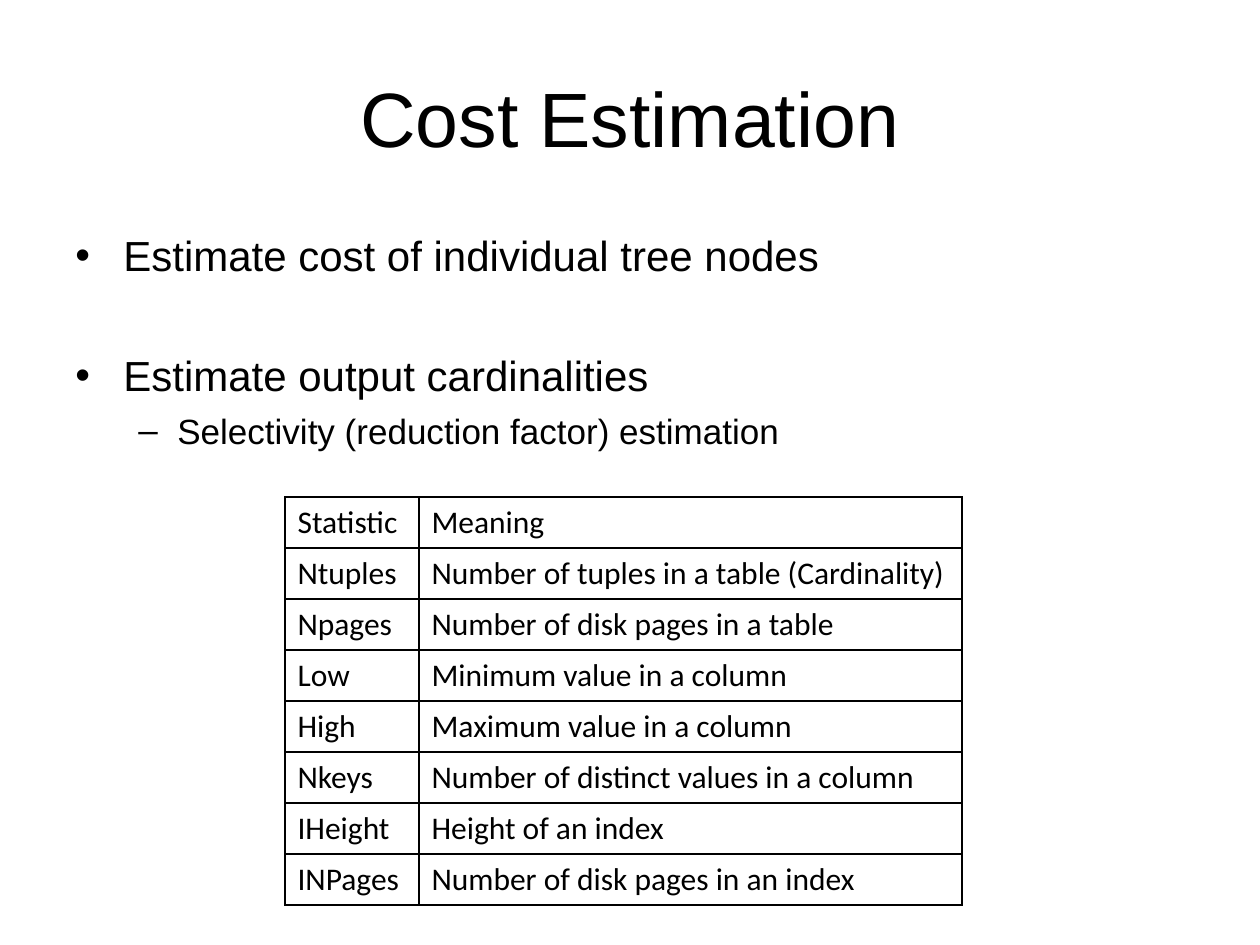
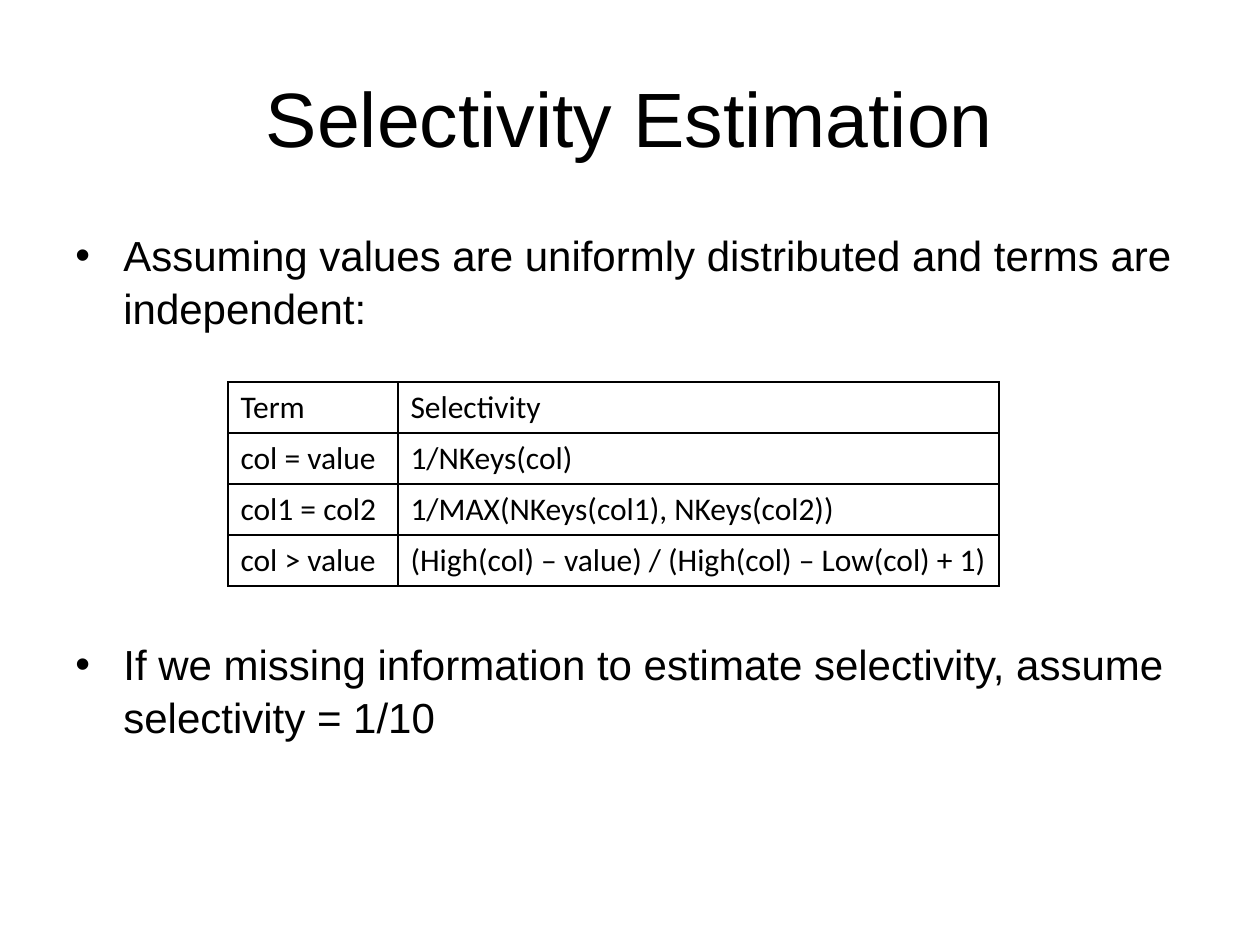
from lxml.etree import SubElement
from pptx import Presentation
from pptx.dml.color import RGBColor as Color
from pptx.enum.text import MSO_ANCHOR as Anchor, PP_ALIGN as Align
from pptx.oxml.ns import qn
from pptx.util import Emu, Pt

COLORS = {"ink": "000000", "paper": "FFFFFF"}
FONTS = {"text": "Arial", "table": "Calibri"}
LEVELS = [("•", 24, 48, 48), ("–", 20, 102, 39)]
BLANK_LINE = 33.7
ROW_HEIGHT = 51


def px(length):
    """Turn px at 126 to the inch into EMU."""
    return Emu(round(length * 914400 / 126))


class Slides:
    """Hold the shared style and the slide being built."""

    def __init__(self):
        """Open an empty deck of 10 by 7.5 inches."""
        self.deck = Presentation()
        self.deck.slide_width, self.deck.slide_height = px(1260), px(945)
        self.page = None

    def start(self, title):
        """Add a blank slide with its centred title."""
        self.page = self.deck.slides.add_slide(self.deck.slide_layouts[6])
        self.page.background.fill.solid()
        self.page.background.fill.fore_color.rgb = Color.from_string(COLORS["paper"])
        frame = self.frame(63, 38, 1134, 158)
        frame.vertical_anchor = Anchor.MIDDLE
        para = frame.paragraphs[0]
        para.alignment = Align.CENTER
        self.set_text(para, title, 44, FONTS["text"])

    def frame(self, left, top, width, height):
        """Add a wrapping text box and return its text frame."""
        box = self.page.shapes.add_textbox(px(left), px(top), px(width), px(height))
        box.text_frame.word_wrap = True
        return box.text_frame

    def set_text(self, para, text, size, font):
        """Fill a paragraph with text in one font."""
        para.text = text
        para.font.size = Pt(size)
        para.font.name = font
        para.font.color.rgb = Color.from_string(COLORS["ink"])

    def bullets(self, items):
        """Add the body from (level, blank lines above, text) items."""
        frame = self.frame(63, 221, 1134, 699)
        for index, (level, blanks, text) in enumerate(items):
            para = frame.add_paragraph() if index else frame.paragraphs[0]
            mark, size, margin, hang = LEVELS[level]
            self.set_text(para, text, size, FONTS["text"])
            para.line_spacing = 1.05
            para.space_before = Pt(size * 0.2 + blanks * BLANK_LINE)
            props = para._p.get_or_add_pPr()
            props.set("marL", str(px(margin)))
            props.set("indent", str(-px(hang)))
            SubElement(props, qn("a:buFont"), typeface=FONTS["text"])
            SubElement(props, qn("a:buChar"), char=mark)
            props.append(props.find(qn("a:defRPr")))

    def table(self, left, top, widths, rows):
        """Add a plain ruled table."""
        grid = self.page.shapes.add_table(
            len(rows), len(widths), px(left), px(top),
            px(sum(widths)), px(ROW_HEIGHT * len(rows))).table
        grid.first_row = grid.horz_banding = False
        for column, width in zip(grid.columns, widths):
            column.width = px(width)
        for line, texts in zip(grid.rows, rows):
            line.height = px(ROW_HEIGHT)
            for cell, text in zip(line.cells, texts):
                self.set_text(cell.text_frame.paragraphs[0], text, 18, FONTS["table"])
                self.rule(cell)
                cell.fill.background()

    def rule(self, cell):
        """Draw the four borders of a cell."""
        props = cell._tc.get_or_add_tcPr()
        for side in ("lnL", "lnR", "lnT", "lnB"):
            border = SubElement(props, qn(f"a:{side}"), w=str(Pt(1)))
            fill = SubElement(border, qn("a:solidFill"))
            SubElement(fill, qn("a:srgbClr"), val=COLORS["ink"])


def main():
    """Build both slides."""
    slides = Slides()

    slides.start("Cost Estimation")
    slides.bullets([
        (0, 0, "Estimate cost of individual tree nodes"),
        (0, 1, "Estimate output cardinalities"),
        (1, 0, "Selectivity (reduction factor) estimation"),
    ])
    slides.table(285, 497, [134, 543], [
        ("Statistic", "Meaning"),
        ("Ntuples", "Number of tuples in a table (Cardinality)"),
        ("Npages", "Number of disk pages in a table"),
        ("Low", "Minimum value in a column"),
        ("High", "Maximum value in a column"),
        ("Nkeys", "Number of distinct values in a column"),
        ("IHeight", "Height of an index"),
        ("INPages", "Number of disk pages in an index"),
    ])

    slides.start("Selectivity Estimation")
    slides.bullets([
        (0, 0, "Assuming values are uniformly distributed and terms are independent:"),
        (0, 5, "If we missing information to estimate selectivity, assume selectivity = 1/10"),
    ])
    slides.table(228, 382, [170, 601], [
        ("Term", "Selectivity"),
        ("col = value", "1/NKeys(col)"),
        ("col1 = col2", "1/MAX(NKeys(col1), NKeys(col2))"),
        ("col > value", "(High(col) – value) / (High(col) – Low(col) + 1)"),
    ])

    slides.deck.save("out.pptx")


if __name__ == "__main__":
    main()
